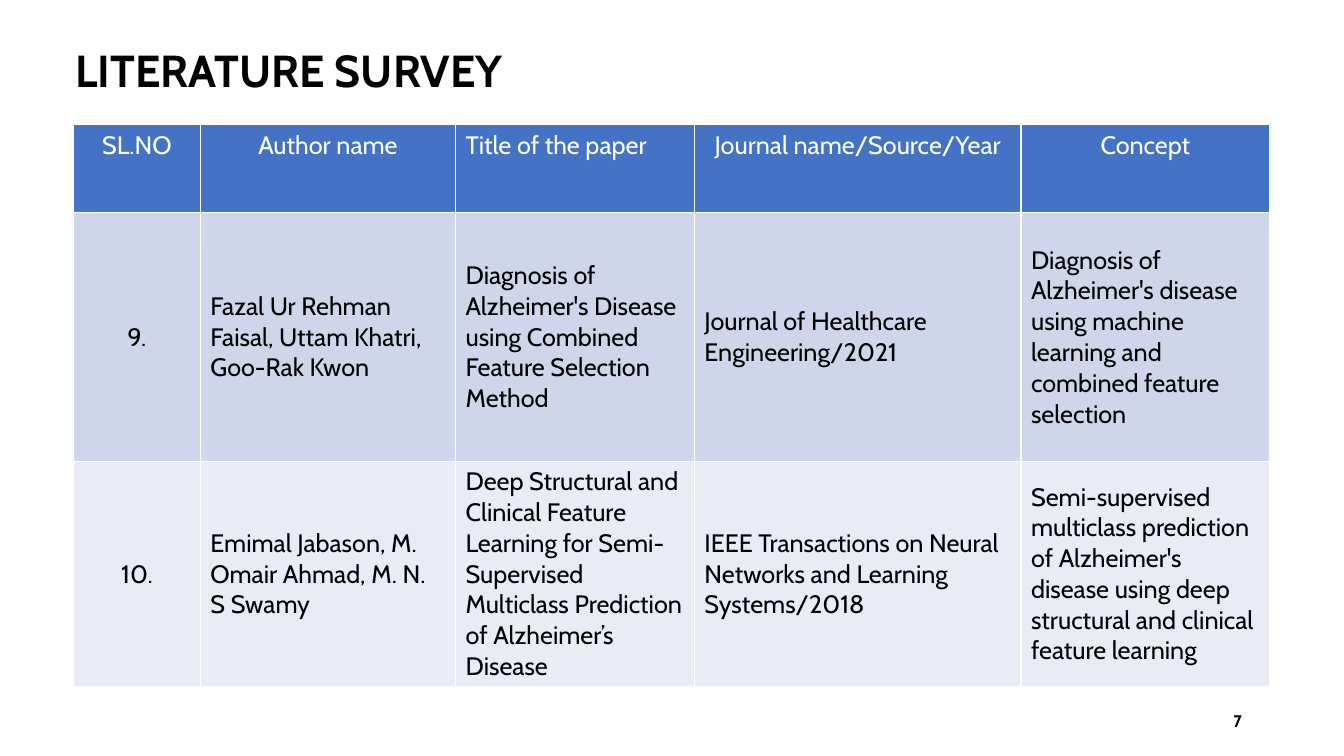
from pptx import Presentation
from pptx.dml.color import RGBColor
from pptx.enum.text import MSO_ANCHOR, PP_ALIGN
from pptx.util import Cm, Pt

LEFT, CENTER, RIGHT = PP_ALIGN.LEFT, PP_ALIGN.CENTER, PP_ALIGN.RIGHT
TOP, MIDDLE = MSO_ANCHOR.TOP, MSO_ANCHOR.MIDDLE
FONT = "Cabin"
BLACK, WHITE = "000000", "FFFFFF"
HEADER_FILL = "4472C4"
BAND_FILLS = ["CFD5EA", "E9EBF5"]

COLUMN_WIDTHS = [3.2, 6.43, 6.02, 8.23, 6.27]
ROW_HEIGHTS = [2.22, 6.27, 5.67]
HEADINGS = ["SL.NO", "Author name", "Title of the paper",
            "Journal name/Source/Year", "Concept"]
HEADING_ALIGNS = [CENTER, CENTER, LEFT, CENTER, CENTER]
PAPER_ALIGNS = [CENTER, LEFT, LEFT, LEFT, LEFT]
PAPERS = [
    ["9.",
     "Fazal Ur Rehman Faisal, Uttam Khatri, Goo-Rak Kwon",
     "Diagnosis of Alzheimer's Disease using Combined Feature Selection Method",
     "Journal of Healthcare Engineering/2021",
     "Diagnosis of Alzheimer's disease using machine learning and "
     "combined feature selection"],
    ["10.",
     "Emimal Jabason, M. Omair Ahmad, M. N. S Swamy",
     "Deep Structural and Clinical Feature Learning for Semi-Supervised "
     "Multiclass Prediction of Alzheimer’s Disease",
     "IEEE Transactions on Neural Networks and Learning Systems/2018",
     "Semi-supervised multiclass prediction of Alzheimer's disease using "
     "deep structural and clinical feature learning"],
]


def color(hex_code):
    return RGBColor.from_string(hex_code)


def write(frame, text, size=18, fill=BLACK, bold=False, align=LEFT, spacing=1.0):
    frame.word_wrap = True
    paragraph = frame.paragraphs[0]
    paragraph.alignment = align
    paragraph.line_spacing = spacing
    run = paragraph.add_run()
    run.text = text
    run.font.name = FONT
    run.font.size = Pt(size)
    run.font.bold = bold
    run.font.color.rgb = color(fill)


def add_label(slide, box, text, **text_format):
    label = slide.shapes.add_textbox(*map(Cm, box))
    label.text_frame.vertical_anchor = MIDDLE
    write(label.text_frame, text, **text_format)


def fill_row(row, texts, aligns, fill, text_color, anchor):
    for cell, text, align in zip(row.cells, texts, aligns):
        cell.fill.solid()
        cell.fill.fore_color.rgb = color(fill)
        cell.vertical_anchor = anchor
        write(cell.text_frame, text, fill=text_color, align=align)


def add_survey(slide, left, top):
    box = (left, top, sum(COLUMN_WIDTHS), sum(ROW_HEIGHTS))
    survey = slide.shapes.add_table(
        len(ROW_HEIGHTS), len(COLUMN_WIDTHS), *map(Cm, box)).table
    for column, width in zip(survey.columns, COLUMN_WIDTHS):
        column.width = Cm(width)
    for row, height in zip(survey.rows, ROW_HEIGHTS):
        row.height = Cm(height)

    # Heading row, then one banded row for each paper
    fill_row(survey.rows[0], HEADINGS, HEADING_ALIGNS, HEADER_FILL, WHITE, TOP)
    for index, (paper, band) in enumerate(zip(PAPERS, BAND_FILLS), start=1):
        fill_row(survey.rows[index], paper, PAPER_ALIGNS, band, BLACK, MIDDLE)


def main():
    deck = Presentation()
    deck.slide_width, deck.slide_height = Cm(33.87), Cm(19.05)
    slide = deck.slides.add_slide(deck.slide_layouts[6])

    # Title
    add_label(slide, (1.65, 0, 29.21, 3.68), "LITERATURE SURVEY",
              size=32, bold=True, spacing=0.9)
    # Survey table
    add_survey(slide, 1.85, 3.14)
    # Page number
    add_label(slide, (23.93, 17.65, 7.62, 1.02), "7",
              size=12, bold=True, align=RIGHT)

    deck.save("out.pptx")


if __name__ == "__main__":
    main()
